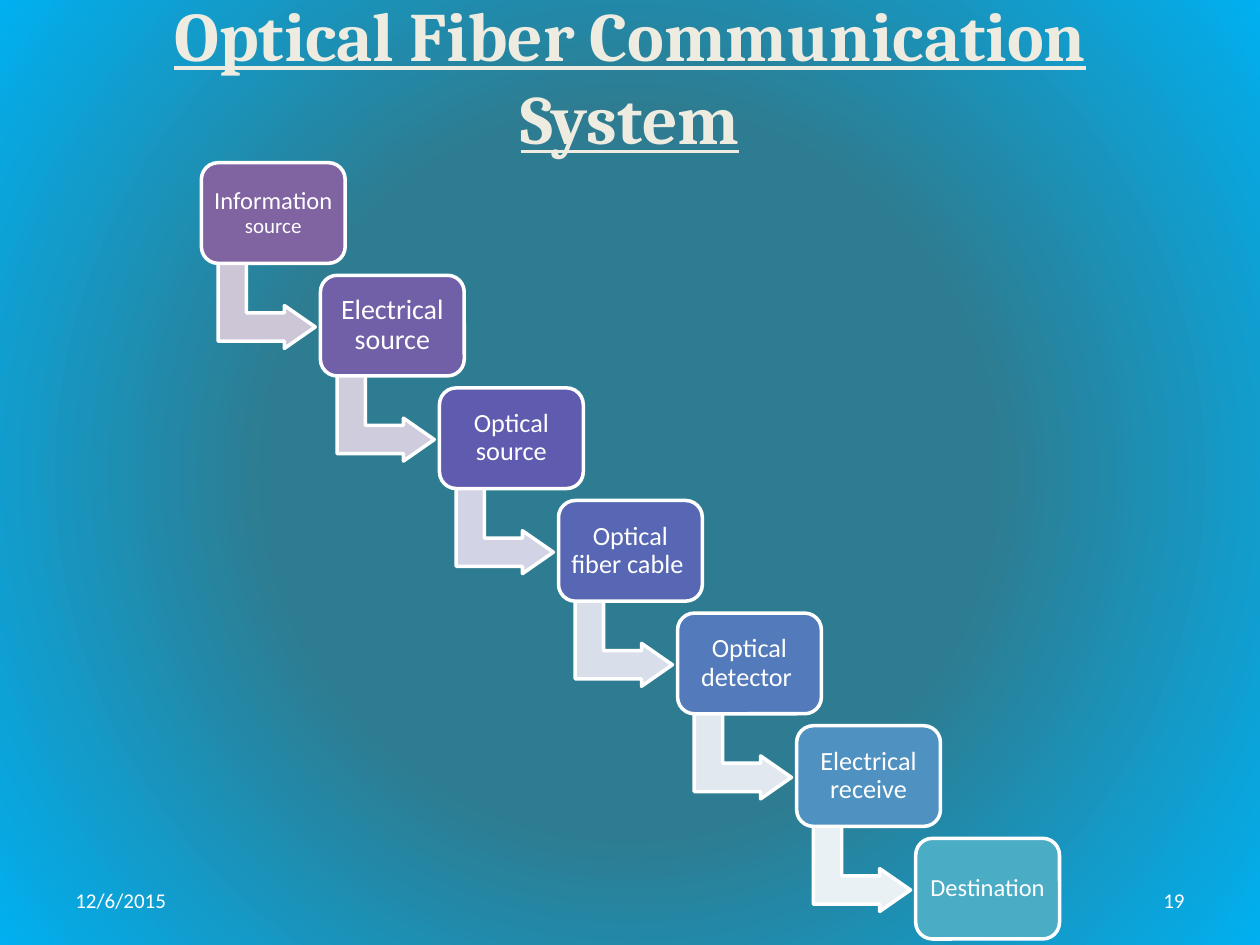
from pptx import Presentation
from pptx.dml.color import RGBColor
from pptx.enum.shapes import MSO_SHAPE
from pptx.enum.text import MSO_ANCHOR, MSO_AUTO_SIZE, PP_ALIGN
from pptx.oxml import parse_xml
from pptx.oxml.ns import nsdecls, qn
from pptx.util import Cm, Pt

ROUND, BENT = MSO_SHAPE.ROUNDED_RECTANGLE, MSO_SHAPE.BENT_UP_ARROW
LEFT, MID, RIGHT = PP_ALIGN.LEFT, PP_ALIGN.CENTER, PP_ALIGN.RIGHT
CENTRE, FIXED = MSO_ANCHOR.MIDDLE, MSO_AUTO_SIZE.NONE

HUES = {"core": "2E7C91", "rim": "00B0F0", "title": "EEECE1", "white": "FFFFFF"}

# Runs with sizes, box fill, fill of the arrow that leads on
STEPS = [
    ([("Information", 14), (" source", 12)], "8064A2", "CDC6D7"),
    ([("Electrical source", 16)], "7160A8", "CFCCDE"),
    ([("Optical source", 15)], "5F5BAE", "D2D3E5"),
    ([("Optical fiber cable ", 15)], "5767B4", "D9DEEB"),
    ([("Optical detector ", 15)], "537ABA", "E1E8F0"),
    ([("Electrical receive", 15)], "4F91C0", "E9F1F5"),
    ([("Destination", 14)], "4BACC6", None),
]


def rgb(hue):
    return RGBColor.from_string(HUES.get(hue, hue))


def apply(target, values):
    for name, value in values.items():
        setattr(target, name, value)


class Deck:
    body = {"name": "Calibri"}
    head = {"name": "Cambria", "bold": True, "underline": True}

    def __init__(self):
        self.prs = Presentation()
        apply(self.prs, {"slide_width": Cm(25.4), "slide_height": Cm(19.05)})
        self.slide = self.prs.slides.add_slide(self.prs.slide_layouts[5])

    def back(self, stops):
        fill = self.slide.background.fill
        fill.gradient()
        for stop, (spot, hue) in zip(fill.gradient_stops, stops):
            stop.position = spot
            stop.color.rgb = rgb(hue)
        grad = self.slide.element.find(".//" + qn("a:gradFill"))
        grad.remove(grad.find(qn("a:lin")))
        grad.append(parse_xml(
            f'<a:path {nsdecls("a")} path="circle">'
            '<a:fillToRect l="50000" t="50000" r="50000" b="50000"/></a:path>'))

    def text(self, shape, runs, align, hue, style, frame, gap=1.0):
        area = shape.text_frame
        apply(area, {"word_wrap": True, "auto_size": FIXED,
                     "vertical_anchor": CENTRE, **frame})
        par = area.paragraphs[0]
        apply(par, {"alignment": align, "line_spacing": gap})
        for words, size in runs:
            run = par.add_run()
            run.text = words
            apply(run.font, {"size": Pt(size), **style})
            run.font.color.rgb = rgb(hue)

    def title(self, words, x, y, w, h):
        shape = self.slide.shapes.title
        apply(shape, {"left": Cm(x), "top": Cm(y), "width": Cm(w), "height": Cm(h)})
        # The deep lower margin lifts the two lines towards the slide's top
        self.text(shape, [(words, 39.6)], MID, "title", self.head,
                  {"margin_bottom": Cm(1.8)})

    def label(self, words, align, x, y, w, h):
        shape = self.slide.shapes.add_textbox(Cm(x), Cm(y), Cm(w), Cm(h))
        self.text(shape, [(words, 12)], align, "white", self.body, {})

    def block(self, kind, hue, x, y, w, h):
        shape = self.slide.shapes.add_shape(kind, Cm(x), Cm(y), Cm(w), Cm(h))
        shape.shadow.inherit = False
        shape.fill.solid()
        shape.fill.fore_color.rgb = rgb(hue)
        shape.line.color.rgb = rgb("white")
        shape.line.width = Pt(2)
        return shape

    def arrow(self, hue, x, y):
        shape = self.block(BENT, hue, x, y, 1.73, 1.96)
        shape.rotation = 90
        for i, value in enumerate((0.33, 0.25, 0.36)):
            shape.adjustments[i] = value

    def box(self, runs, hue, x, y):
        shape = self.block(ROUND, hue, x, y, 2.9, 2.03)
        sides = ("left", "top", "right", "bottom")
        frame = {f"margin_{side}": Cm(0.15) for side in sides}
        self.text(shape, runs, MID, "white", self.body, frame, 0.9)


def main():
    deck = Deck()
    deck.back([(0.46, "core"), (1.0, "rim")])
    deck.title("Optical Fiber Communication System", 1.27, 0.76, 22.86, 3.18)

    # Staircase of steps
    for i, (runs, hue, tint) in enumerate(STEPS):
        x, y = 4.06 + 2.4 * i, 3.28 + 2.27 * i
        if tint:
            deck.arrow(tint, x + 0.45, y + 1.9)
        deck.box(runs, hue, x, y)

    # Date and slide number
    deck.label("12/6/2015", LEFT, 1.27, 17.65, 5.93, 1.01)
    deck.label("19", RIGHT, 18.2, 17.65, 5.93, 1.01)
    deck.prs.save("out.pptx")


if __name__ == "__main__":
    main()
